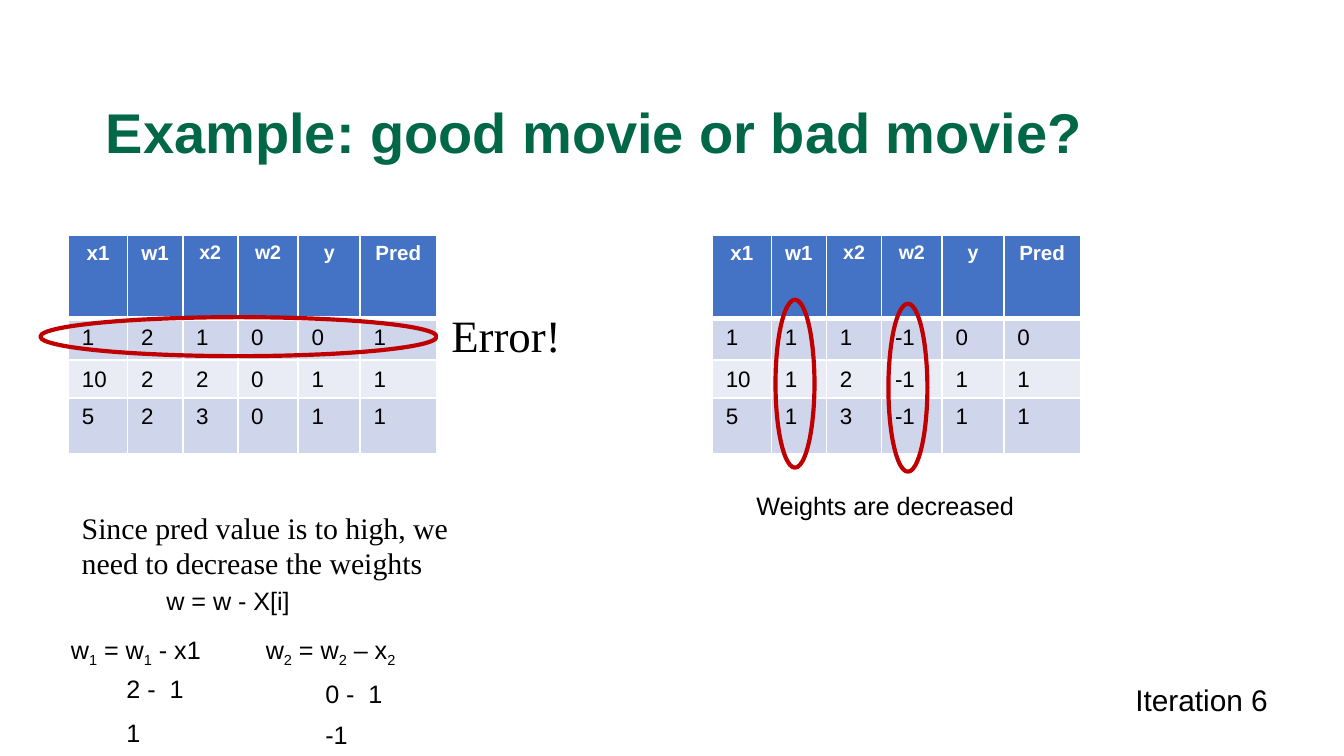
import pptx
import pptx.util
import pptx.dml.color
import pptx.enum.shapes
import pptx.enum.text
import pptx.oxml
import pptx.oxml.ns

Inches = pptx.util.Inches
Pt = pptx.util.Pt
RGBColor = pptx.dml.color.RGBColor
ALIGN = pptx.enum.text.PP_ALIGN
ANCHOR = pptx.enum.text.MSO_ANCHOR
SHAPE = pptx.enum.shapes.MSO_SHAPE

GREEN = RGBColor(0x00, 0x67, 0x47)
BLUE = RGBColor(0x44, 0x72, 0xC4)
BAND = RGBColor(0xCF, 0xD5, 0xEA)
PALE = RGBColor(0xE9, 0xEB, 0xF5)
RED = RGBColor(0xC0, 0x00, 0x00)
BLACK = RGBColor(0x00, 0x00, 0x00)
WHITE = RGBColor(0xFF, 0xFF, 0xFF)

SANS, SERIF = "Arial", "Times New Roman"
HEADS = ["x1", "w1", "x2", "w2", "y", "Pred"]
COLS = [0.44, 0.41, 0.41, 0.45, 0.46, 0.57]
ROWS = [0.62, 0.31, 0.28, 0.42]


def add_run(para, text, size, font=SANS, color=BLACK, bold=False, sub=False):
    run = para.add_run()
    run.text = text
    run.font.name = font
    run.font.size = Pt(size)
    run.font.bold = bold
    run.font.color.rgb = color
    if sub:
        run.font._element.set("baseline", "-25000")


def fill_text(shape, parts, size=13.5, wrap=False, **style):
    """Write one paragraph; a part that starts with _ is a subscript."""
    frame = shape.text_frame
    frame.word_wrap = wrap
    para = frame.paragraphs[0]
    para.alignment = ALIGN.LEFT
    for part in parts:
        add_run(para, part.lstrip("_"), size,
                sub=part.startswith("_"), **style)
    return frame


def add_text(slide, box, parts, size=13.5, **style):
    shape = slide.shapes.add_textbox(*map(Inches, box))
    return fill_text(shape, parts, size, **style)


def add_note(slide, box, text, size):
    """White box with serif text."""
    note = slide.shapes.add_shape(SHAPE.RECTANGLE, *map(Inches, box))
    note.shadow.inherit = False
    note.fill.solid()
    note.fill.fore_color.rgb = WHITE
    note.line.fill.background()
    frame = fill_text(note, [text], size, wrap=True, font=SERIF)
    frame.vertical_anchor = ANCHOR.TOP


def add_edges(cell, base):
    props = cell._tc.get_or_add_tcPr()
    widths = {"lnL": 1, "lnR": 1, "lnT": 1, "lnB": base}
    for place, (tag, width) in enumerate(widths.items()):
        props.insert(place, pptx.oxml.parse_xml(
            f'<a:{tag} {pptx.oxml.ns.nsdecls("a")} w="{Pt(width)}">'
            f'<a:solidFill><a:srgbClr val="{WHITE}"/></a:solidFill></a:{tag}>'))


def add_grid(slide, left, top, data):
    """Table of inputs, weights and predictions."""
    table = slide.shapes.add_table(
        len(ROWS), len(COLS), Inches(left), Inches(top),
        Inches(sum(COLS)), Inches(sum(ROWS))).table
    for col, width in zip(table.columns, COLS):
        col.width = Inches(width)
    for row, height in zip(table.rows, ROWS):
        row.height = Inches(height)
    for r, line in enumerate([HEADS] + data):
        head = r == 0
        for c, text in enumerate(line):
            cell = table.cell(r, c)
            cell.margin_bottom = Inches(0.03)
            cell.fill.solid()
            cell.fill.fore_color.rgb = BLUE if head else BAND if r % 2 else PALE
            add_edges(cell, 3 if head else 1)
            para = cell.text_frame.paragraphs[0]
            if head:
                para.alignment = ALIGN.CENTER
                size = 10.5 if text in ("x2", "w2", "y") else 11
                add_run(para, text, size, color=WHITE, bold=True)
            else:
                add_run(para, str(text), 12)


def add_ring(slide, box, turn=0):
    ring = slide.shapes.add_shape(SHAPE.OVAL, *map(Inches, box))
    ring.shadow.inherit = False
    ring.rotation = turn
    ring.fill.background()
    ring.line.color.rgb = RED
    ring.line.width = Pt(2.25)


def add_title(slide, box):
    frame = add_text(slide, box, ["Example: good movie or bad movie?"], 30,
                     wrap=True, color=GREEN, bold=True)
    frame.vertical_anchor = ANCHOR.MIDDLE
    frame.paragraphs[0].line_spacing = 0.9


def add_before(slide, left, top):
    """Table with the wrong row ringed."""
    add_grid(slide, left, top,
             [[1, 2, 1, 0, 0, 1], [10, 2, 2, 0, 1, 1], [5, 2, 3, 0, 1, 1]])
    add_ring(slide, (left - 0.21, top + 0.61, 2.95, 0.29))
    add_note(slide, (left + 2.75, top + 0.49, 1.06, 0.53), "Error!", 24)


def add_after(slide, left, top):
    """Table with both changed weight columns ringed."""
    add_grid(slide, left, top,
             [[1, 1, 1, -1, 0, 0], [10, 1, 2, -1, 1, 1], [5, 1, 3, -1, 1, 1]])
    for x, y in [(-0.01, 0.96), (0.83, 0.99)]:
        add_ring(slide, (left + x, top + y, 1.25, 0.29), 90)
    add_text(slide, (left + 0.23, top + 1.85, 2.14, 0.33),
             ["Weights are decreased"])


def add_rule(slide, left, top):
    """Reason for the change and the update of each weight."""
    add_note(slide, (left, top, 3.07, 0.53),
             "Since pred value is to high, we need to decrease the weights", 16)
    add_text(slide, (left + 0.63, top + 0.57, 1.13, 0.33), ["w = w - X[i]"])
    sums = [
        (-0.08, 1.2, ["w", "_1", " = w", "_1", " - x1"], 0.28,
         [(" 2 -  1", 1.22, 0.69), (" 1", 1.55, 0.36)]),
        (1.37, 1.24, ["w", "_2", " = w", "_2", " – x", "_2"], 1.76,
         [(" 0 -  1", 1.26, 0.69), (" -1", 1.56, 0.42)]),
    ]
    for x, wide, parts, inset, steps in sums:
        add_text(slide, (left + x, top + 0.93, wide, 0.33), parts)
        for text, y, span in steps:
            add_text(slide, (left + inset, top + y, span, 0.33), [text])


def main():
    deck = pptx.Presentation()
    # Wide 16:9 page
    deck.slide_width = Inches(10)
    deck.slide_height = deck.slide_width * 9 // 16
    slide = deck.slides.add_slide(deck.slide_layouts[6])
    add_title(slide, (0.69, 0.63, 8.62, 0.76))
    add_before(slide, 0.51, 1.75)
    add_after(slide, 5.3, 1.75)
    add_rule(slide, 0.51, 3.74)
    # Step count
    add_text(slide, (8.35, 5.02, 1.2, 0.37), ["Iteration 6"], 16)
    deck.save("out.pptx")


if __name__ == "__main__":
    main()
